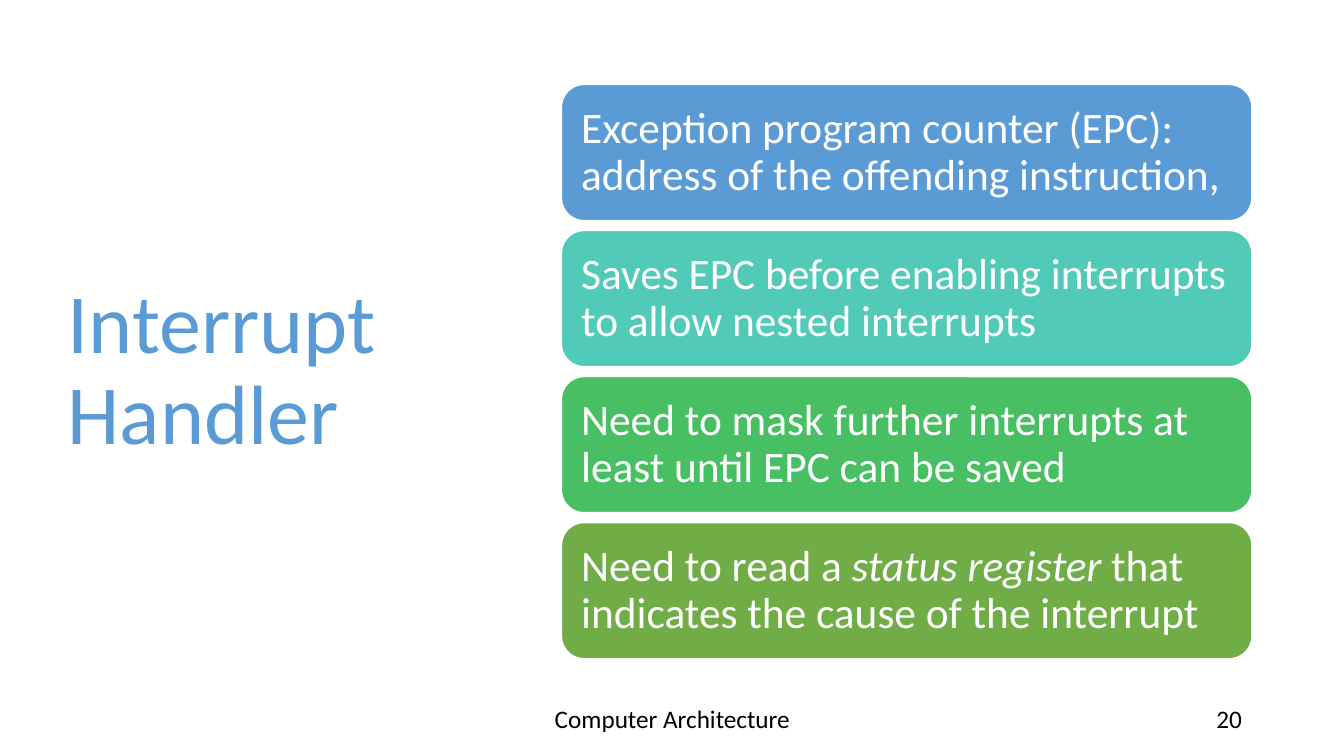
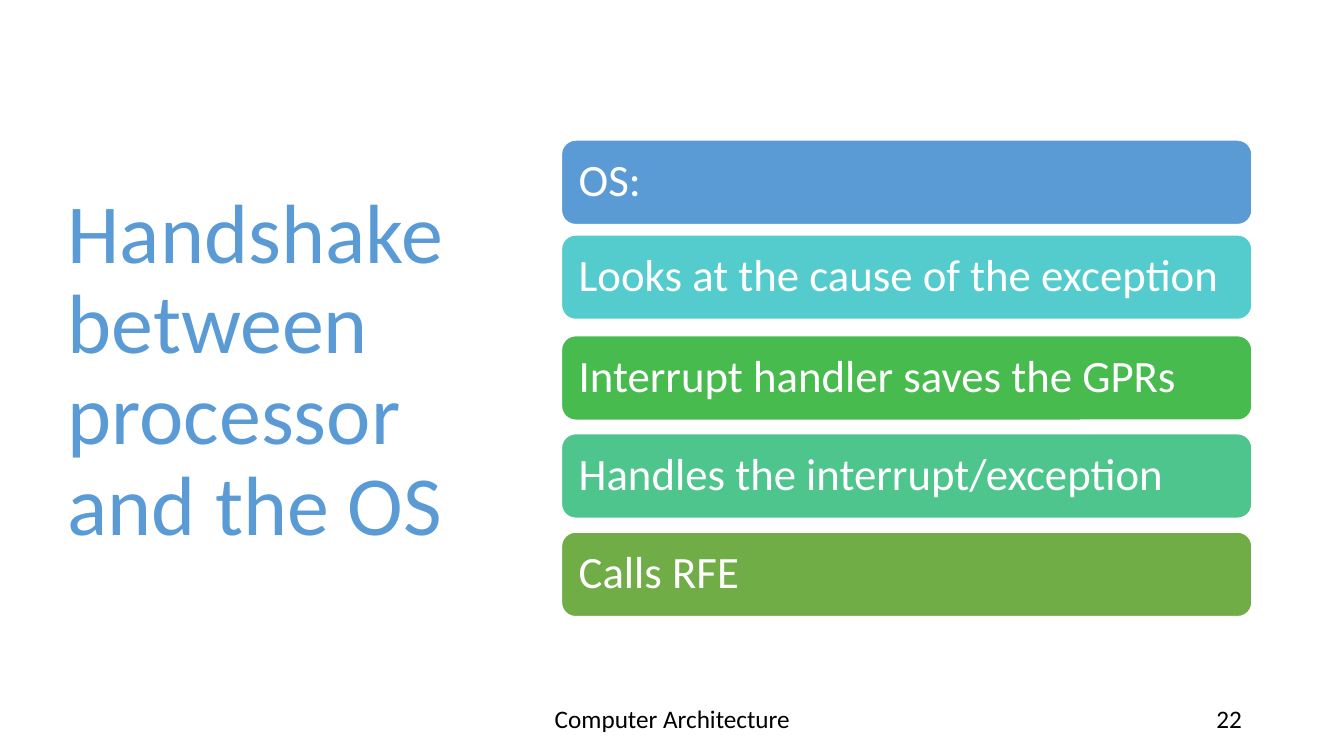
from dataclasses import dataclass

from pptx import Presentation
from pptx import util as u
from pptx.dml import color
from pptx.enum import shapes, text


@dataclass(frozen=True)
class Theme:
    font: str = "Calibri"
    blue: str = "5B9BD5"
    teal: str = "52CAB8"
    cyan: str = "54CCCD"
    emerald: str = "49BF64"
    green: str = "48BB4F"
    mint: str = "4DC58D"
    olive: str = "70AD47"
    white: str = "FFFFFF"
    black: str = "000000"
    title_size: int = 60
    footer_size: int = 18


class Deck:
    def __init__(self, theme):
        self.theme = theme
        self.prs = Presentation()
        self.prs.slide_width, self.prs.slide_height = u.Cm(33.87), u.Cm(19.05)
        self.slide = None

    def apply(self, target, formats):
        for name, value in formats.items():
            setattr(target, name, value)

    def place(self, *lengths):
        return [u.Cm(length) for length in lengths]

    def set_words(self, shape, runs, size, ink, align=text.PP_ALIGN.LEFT, **frame_formats):
        frame = shape.text_frame
        self.apply(frame, {"word_wrap": True, "auto_size": text.MSO_AUTO_SIZE.NONE,
                           "vertical_anchor": text.MSO_ANCHOR.MIDDLE, **frame_formats})
        paragraph = frame.paragraphs[0]
        self.apply(paragraph, {"alignment": align, "line_spacing": 0.9})
        for words, italic in runs:
            run = paragraph.add_run()
            run.text = words
            self.apply(run.font, {"name": self.theme.font, "size": u.Pt(size), "italic": italic})
            run.font.color.rgb = color.RGBColor.from_string(ink)
        return paragraph

    def start(self, heading, number):
        self.slide = self.prs.slides.add_slide(self.prs.slide_layouts[5])
        self.title(heading)
        self.footer("Computer Architecture", 11.23, 11.43, text.PP_ALIGN.CENTER)
        self.footer(str(number), 23.93, 7.62, text.PP_ALIGN.RIGHT)

    def title(self, heading):
        title = self.slide.shapes.title
        box = self.place(1.45, 1.73, 10.57, 15.29)
        self.apply(title, dict(zip(("left", "top", "width", "height"), box)))
        self.set_words(title, [(heading, False)], self.theme.title_size, self.theme.blue)

    def footer(self, words, left, width, align):
        box = self.slide.shapes.add_textbox(*self.place(left, 17.65, width, 1.02))
        paragraph = self.set_words(box, [(words, False)], self.theme.footer_size,
                                   self.theme.black, align)
        paragraph.space_after = u.Pt(6)

    def panel(self, runs, fill, top, height, size):
        panel = self.slide.shapes.add_shape(shapes.MSO_SHAPE.ROUNDED_RECTANGLE,
                                            *self.place(14.15, top, 17.4, height))
        panel.shadow.inherit = False
        panel.fill.solid()
        panel.fill.fore_color.rgb = color.RGBColor.from_string(fill)
        panel.line.color.rgb = color.RGBColor.from_string(self.theme.white)
        panel.line.width = u.Pt(1)
        sides = ("left", "top", "right", "bottom")
        margins = {f"margin_{side}": u.Cm(0.33) for side in sides}
        self.set_words(panel, runs, size, self.theme.white, **margins)

    def stack(self, points, tops, height, size):
        for (runs, fill), top in zip(points, tops):
            self.panel(runs, fill, top, height, size)


def main():
    theme = Theme()
    deck = Deck(theme)

    deck.start("Interrupt Handler", 20)
    handler_points = [
        ([("Exception program counter (EPC): address of the offending instruction,", False)],
         theme.blue),
        ([("Saves EPC before enabling interrupts to allow nested interrupts", False)],
         theme.teal),
        ([("Need to mask further interrupts at least until EPC can be saved", False)],
         theme.emerald),
        ([("Need to read a", False), (" status register", True),
          (" that indicates the cause of the interrupt", False)], theme.olive),
    ]
    handler_tops = [2.13 + 3.68 * row for row in range(len(handler_points))]
    deck.stack(handler_points, handler_tops, 3.43, 31)

    deck.start("Handshake between processor and the OS", 22)
    os_steps = [
        ([("OS:", False)], theme.blue),
        ([("Looks at the cause of the exception", False)], theme.cyan),
        ([("Interrupt handler saves the GPRs", False)], theme.green),
        ([("Handles the interrupt/exception", False)], theme.mint),
        ([("Calls RFE", False)], theme.olive),
    ]
    deck.stack(os_steps, [3.53, 5.92, 8.46, 10.93, 13.41], 2.13, 32)

    deck.prs.save("out.pptx")


if __name__ == "__main__":
    main()
